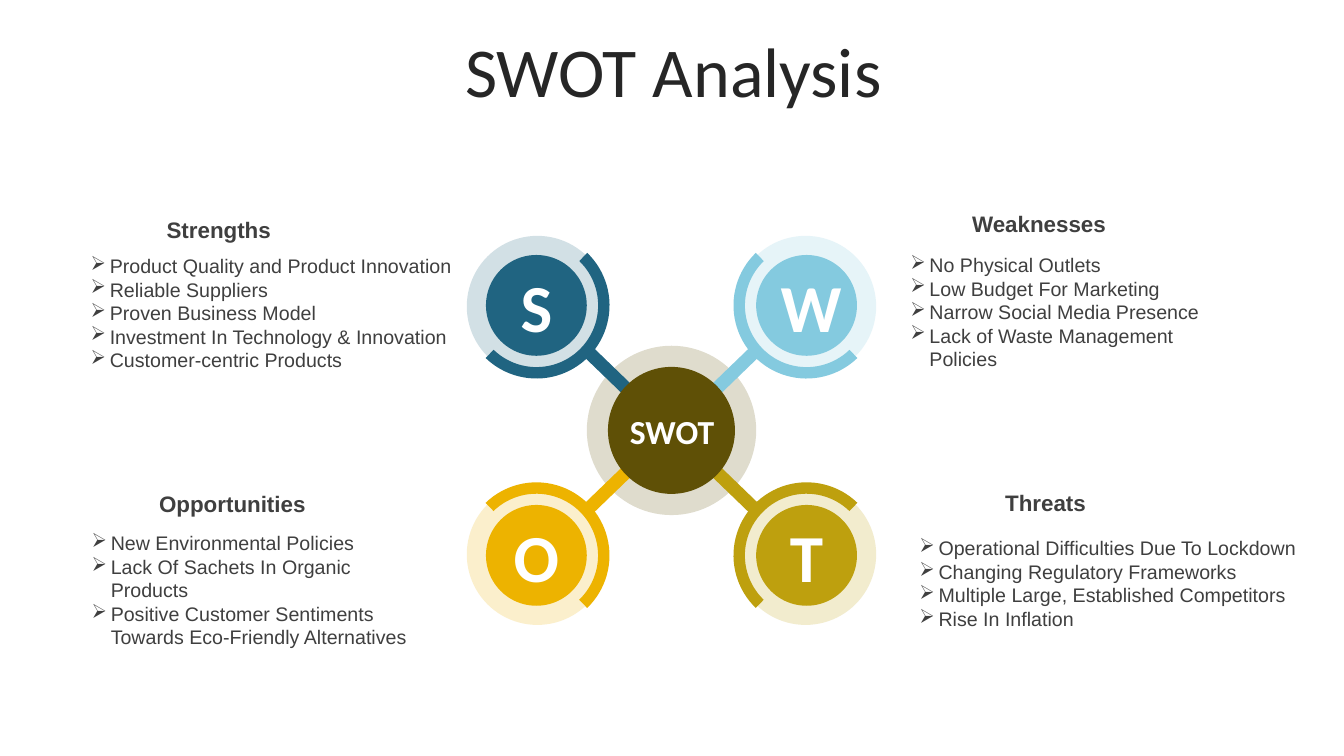
from lxml import etree
from pptx import Presentation
from pptx.dml.color import RGBColor
from pptx.enum import shapes, text
from pptx.oxml import ns
from pptx.util import Inches, Pt

SHAPE = shapes.MSO_SHAPE
HUB_X, HUB_Y = 6.66, 4.27
HUB_COLOR = "5F5006"
TITLE = {"name": "Calibri", "size": Pt(50), "color": "262626"}
LETTER = {"name": "Calibri", "size": Pt(48), "bold": True, "color": "FFFFFF"}
HUB_LABEL = {**LETTER, "size": Pt(24)}
HEADING = {"name": "Arial", "size": Pt(16), "bold": True, "color": "3F3F3F"}
ITEM = {"name": "Arial", "size": Pt(14), "color": "3F3F3F"}

# letter, colour, horizontal and vertical side of the hub, arc rotation
NODES = [
    ("S", "206481", -1, -1, 134),
    ("W", "84CADF", 1, -1, 226),
    ("O", "EDB300", -1, 1, 46),
    ("T", "BEA00E", 1, 1, 314),
]

# heading, heading box, list box, items
LISTS = [
    ("Strengths", (0.24, 2.1, 3.86, 0.37), (0.8, 2.47, 3.85, 1.75),
     ["Product Quality and Product Innovation", "Reliable Suppliers",
      "Proven Business Model", "Investment In Technology & Innovation",
      "Customer-centric Products"]),
    ("Weaknesses", (8.6, 2.04, 3.41, 0.37), (8.93, 2.46, 3.41, 1.51),
     ["No Physical Outlets", "Low Budget For Marketing",
      "Narrow Social Media Presence", "Lack of Waste Management Policies"]),
    ("Opportunities", (0.6, 4.81, 3.41, 0.37), (0.81, 5.22, 3.41, 1.28),
     ["New Environmental Policies", "Lack Of Sachets In Organic Products",
      "Positive Customer Sentiments Towards Eco-Friendly Alternatives"]),
    ("Threats", (8.4, 4.8, 3.94, 0.37), (9.02, 5.27, 3.94, 2.2),
     ["Operational Difficulties Due To Lockdown",
      "Changing Regulatory Frameworks",
      "Multiple Large, Established Competitors", "Rise In Inflation"]),
]


def rgb(value):
    return RGBColor.from_string(value)


def format_font(font, fmt):
    for key, value in fmt.items():
        if key == "color":
            font.color.rgb = rgb(value)
        else:
            setattr(font, key, value)


def centered(s, kind, x, y, w, h, color, alpha=None, rotation=0):
    """Add a plain filled shape around the point x, y."""
    sp = s.shapes.add_shape(kind, Inches(x - w / 2), Inches(y - h / 2),
                            Inches(w), Inches(h))
    sp.shadow.inherit = False
    sp.fill.solid()
    sp.fill.fore_color.rgb = rgb(color)
    sp.line.fill.background()
    sp.rotation = rotation
    if alpha:
        clr = sp.fill._xPr.find(".//" + ns.qn("a:srgbClr"))
        etree.SubElement(clr, ns.qn("a:alpha"), val=str(alpha * 1000))
    return sp


def add_bullet(p, color):
    pPr = p._p.get_or_add_pPr()
    pPr.set("marL", str(Inches(0.19)))
    pPr.set("indent", str(-Inches(0.19)))
    bu_clr = etree.SubElement(pPr, ns.qn("a:buClr"))
    etree.SubElement(bu_clr, ns.qn("a:srgbClr"), val=color)
    etree.SubElement(pPr, ns.qn("a:buChar"), char="➢")


def text_box(s, box, lines, fmt, bullets=False, anchor=text.MSO_ANCHOR.TOP):
    tf = s.shapes.add_textbox(*map(Inches, box)).text_frame
    tf.word_wrap = True
    tf.auto_size = text.MSO_AUTO_SIZE.SHAPE_TO_FIT_TEXT
    tf.vertical_anchor = anchor
    for i, line in enumerate(lines):
        p = tf.add_paragraph() if i else tf.paragraphs[0]
        if bullets:
            add_bullet(p, fmt["color"])
        else:
            p.alignment = text.PP_ALIGN.CENTER
        r = p.add_run()
        r.text = line
        format_font(r.font, fmt)


def add_title(s, words):
    sp = s.shapes.title
    sp.left, sp.top, sp.width, sp.height = map(Inches, (0.35, 0.37, 12.66, 0.79))
    tf = sp.text_frame
    tf.auto_size = text.MSO_AUTO_SIZE.NONE
    tf.vertical_anchor = text.MSO_ANCHOR.MIDDLE
    p = tf.paragraphs[0]
    p.alignment = text.PP_ALIGN.CENTER
    p.line_spacing = 0.8
    r = p.add_run()
    r.text = words
    format_font(r.font, TITLE)


def add_node(s, letter, color, side_x, side_y, arc_rotation):
    x, y = HUB_X + 1.34 * side_x, HUB_Y + 1.24 * side_y
    centered(s, SHAPE.OVAL, x, y, 1, 1, color)
    arc = centered(s, SHAPE.BLOCK_ARC, x, y, 1.45, 1.45, color,
                   rotation=arc_rotation)
    for i, value in enumerate((108, 0, 0.078)):
        arc.adjustments[i] = value
    centered(s, SHAPE.RECTANGLE, HUB_X + 0.64 * side_x, HUB_Y + 0.6 * side_y,
             0.57, 0.13, color, rotation=44 * side_x * side_y)
    text_box(s, (x - 0.355, y - 0.455, 0.71, 0.91), [letter], LETTER,
             anchor=text.MSO_ANCHOR.MIDDLE)


def main():
    prs = Presentation()
    prs.slide_width, prs.slide_height = Inches(13.33), Inches(7.5)
    s = prs.slides.add_slide(prs.slide_layouts[5])
    add_title(s, "SWOT Analysis")

    # Pale halos behind the diagram
    for _, color, side_x, side_y, _ in NODES:
        centered(s, SHAPE.OVAL, HUB_X + 1.33 * side_x, HUB_Y + 1.23 * side_y,
                 1.4, 1.4, color, alpha=20)
    centered(s, SHAPE.OVAL, HUB_X, HUB_Y, 1.68, 1.68, HUB_COLOR, alpha=20)

    # Four lettered nodes joined to the hub
    for node in NODES:
        add_node(s, *node)
    centered(s, SHAPE.OVAL, HUB_X, HUB_Y, 1.26, 1.26, HUB_COLOR)
    text_box(s, (6.02, 4.03, 1.29, 0.5), ["SWOT"], HUB_LABEL)

    # Headings and bulleted lists
    for heading, heading_box, list_box, items in LISTS:
        text_box(s, heading_box, [heading], HEADING)
        text_box(s, list_box, items, ITEM, bullets=True)

    prs.save("out.pptx")


if __name__ == "__main__":
    main()
